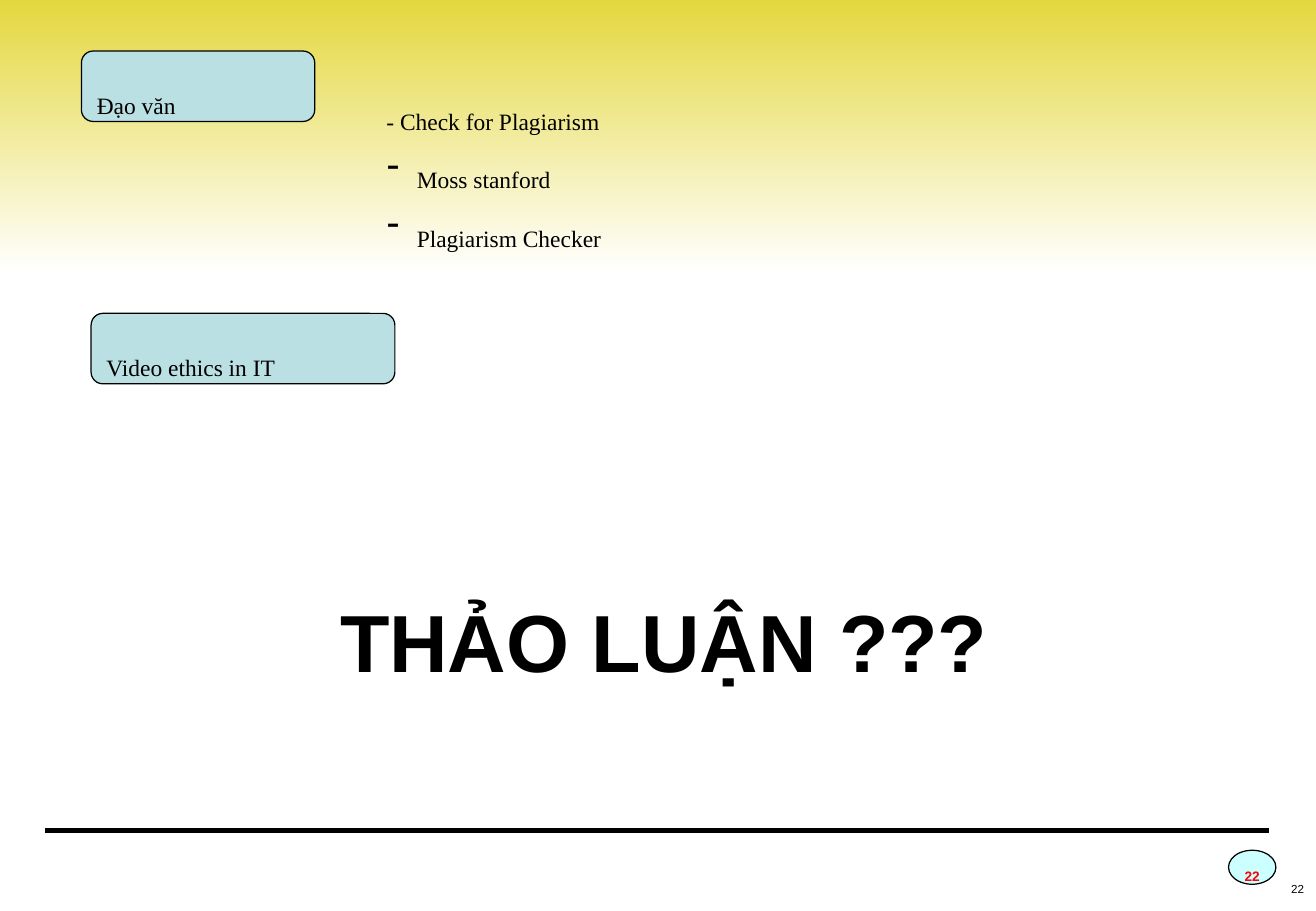
"""Builds the discussion slide on plagiarism and ethics in IT."""
from dataclasses import dataclass

from lxml.etree import SubElement
from pptx import Presentation
from pptx.dml.color import RGBColor
from pptx.enum.shapes import MSO_CONNECTOR as Connector, MSO_SHAPE as Shape
from pptx.enum.text import MSO_ANCHOR as Anchor, MSO_AUTO_SIZE as AutoSize, PP_ALIGN as Align
from pptx.oxml.ns import qn
from pptx.util import Inches, Pt


@dataclass(frozen=True)
class Theme:
    """Colours, fonts and type sizes of the slide."""
    black: str = "000000"
    white: str = "FFFFFF"
    gold: str = "E3D638"
    teal: str = "BBE0E3"
    aqua: str = "CCFFFF"
    red: str = "FF0000"
    heading_font: str = "Arial"
    text_font: str = "Times New Roman"
    title_size: int = 48
    text_size: int = 24
    badge_size: int = 14
    number_size: int = 12
    subscript: int = -33000


def write(para, text, size, color, font, bold=False, align=Align.LEFT, baseline=0):
    """Write one formatted run of text into a paragraph."""
    para.alignment = align
    para.space_before = Pt(0)
    span = para.add_run()
    span.text = text
    span.font.size = Pt(size)
    span.font.name = font
    span.font.bold = bold
    span.font.color.rgb = RGBColor.from_string(color)
    if baseline:
        span._r.get_or_add_rPr().set("baseline", str(baseline))


def set_bullet(para, mark):
    """Give a paragraph a hanging bullet, or none when the mark is empty."""
    props = para._p.get_or_add_pPr()
    hang = Inches(0.25) if mark else 0
    props.set("marL", str(hang))
    props.set("indent", str(-hang))
    if mark:
        SubElement(props, qn("a:buFont")).set("typeface", "Arial")
        SubElement(props, qn("a:buChar")).set("char", mark)
    else:
        SubElement(props, qn("a:buNone"))


class SlideBuilder:
    """Holds the theme and the current slide."""

    def __init__(self, page, theme):
        """Keep the page and its theme."""
        self.page = page
        self.theme = theme

    def shape(self, kind, left, top, width, height, fill=None):
        """Add a preset shape, outlined and filled when a fill is given."""
        box = self.page.shapes.add_shape(
            kind, Inches(left), Inches(top), Inches(width), Inches(height))
        box.shadow.inherit = False
        if fill:
            box.fill.solid()
            box.fill.fore_color.rgb = RGBColor.from_string(fill)
            box.line.color.rgb = RGBColor.from_string(self.theme.black)
            box.line.width = Pt(0.75)
        return box

    def banner(self, left, top, width, height):
        """Add the band that fades from gold to white."""
        band = self.shape(Shape.PENTAGON, left, top, width, height)
        band.adjustments[0] = 0
        band.line.fill.background()
        band.fill.gradient()
        band.fill.gradient_angle = 270
        colors = (self.theme.gold, self.theme.white)
        for position, (stop, color) in enumerate(zip(band.fill.gradient_stops, colors)):
            stop.position = position
            stop.color.rgb = RGBColor.from_string(color)

    def rule(self, left, right, top):
        """Add the horizontal footer rule."""
        line = self.page.shapes.add_connector(
            Connector.STRAIGHT, Inches(left), Inches(top), Inches(right), Inches(top))
        line.line.color.rgb = RGBColor.from_string(self.theme.black)
        line.line.width = Pt(3)
        SubElement(line._element.spPr, qn("a:effectLst"))

    def badge(self, text, left, top, width, height):
        """Add the oval page badge."""
        frame = self.shape(Shape.OVAL, left, top, width, height, self.theme.aqua).text_frame
        frame.word_wrap = False
        frame.vertical_anchor = Anchor.MIDDLE
        write(frame.paragraphs[0], text, self.theme.badge_size, self.theme.red,
              self.theme.heading_font, bold=True, align=Align.CENTER,
              baseline=self.theme.subscript)

    def label(self, text, left, top, width, height):
        """Add a rounded topic label."""
        frame = self.shape(Shape.ROUNDED_RECTANGLE, left, top, width, height,
                           self.theme.teal).text_frame
        frame.vertical_anchor = Anchor.TOP
        write(frame.paragraphs[0], text, self.theme.text_size, self.theme.black,
              self.theme.text_font, baseline=self.theme.subscript)

    def page_number(self, text, left, top, width, height):
        """Add the plain page number in the corner."""
        frame = self.page.shapes.add_textbox(
            Inches(left), Inches(top), Inches(width), Inches(height)).text_frame
        frame.word_wrap = True
        frame.vertical_anchor = Anchor.BOTTOM
        write(frame.paragraphs[0], text, self.theme.number_size, self.theme.black,
              self.theme.heading_font, align=Align.RIGHT, baseline=self.theme.subscript)

    def placeholder(self, index, left, top, width, height):
        """Move a placeholder to its place in front and return its text frame."""
        box = self.page.placeholders[index]
        box.left, box.top = Inches(left), Inches(top)
        box.width, box.height = Inches(width), Inches(height)
        self.page.shapes._spTree.append(box._element)
        frame = box.text_frame
        frame.word_wrap = True
        frame.auto_size = AutoSize.NONE
        frame.vertical_anchor = Anchor.TOP
        return frame

    def title(self, text, left, top, width, height):
        """Fill the title placeholder."""
        frame = self.placeholder(0, left, top, width, height)
        write(frame.paragraphs[0], text, self.theme.title_size, self.theme.black,
              self.theme.heading_font, bold=True, align=Align.CENTER)

    def listing(self, items, left, top, width, height):
        """Fill the body placeholder with pairs of bullet mark and text."""
        frame = self.placeholder(1, left, top, width, height)
        for number, (mark, text) in enumerate(items):
            para = frame.add_paragraph() if number else frame.paragraphs[0]
            set_bullet(para, mark)
            write(para, text, self.theme.text_size, self.theme.black,
                  self.theme.text_font, baseline=self.theme.subscript)


def main():
    """Build and save the deck."""
    deck = Presentation()
    deck.slide_width, deck.slide_height = Inches(10.83), Inches(7.5)
    page = deck.slides.add_slide(deck.slide_layouts[1])
    builder = SlideBuilder(page, Theme())
    builder.banner(0, -0.08, 10.83, 2.33)
    builder.rule(0.37, 10.44, 6.84)
    builder.badge("22", 10.11, 7, 0.39, 0.28)
    builder.title("THẢO LUẬN ???", 0.86, 4.82, 9.21, 1.49)
    builder.page_number("22", 10.29, 6.9, 0.54, 0.52)
    builder.label("Đạo văn", 0.67, 0.42, 1.92, 0.58)
    builder.label("Video ethics in IT", 0.75, 2.58, 2.5, 0.58)
    builder.listing([("", "- Check for Plagiarism"), ("-", "Moss stanford"),
                     ("-", "Plagiarism Checker")], 3.08, 0.58, 3.26, 1.72)
    deck.save("out.pptx")


if __name__ == "__main__":
    main()
